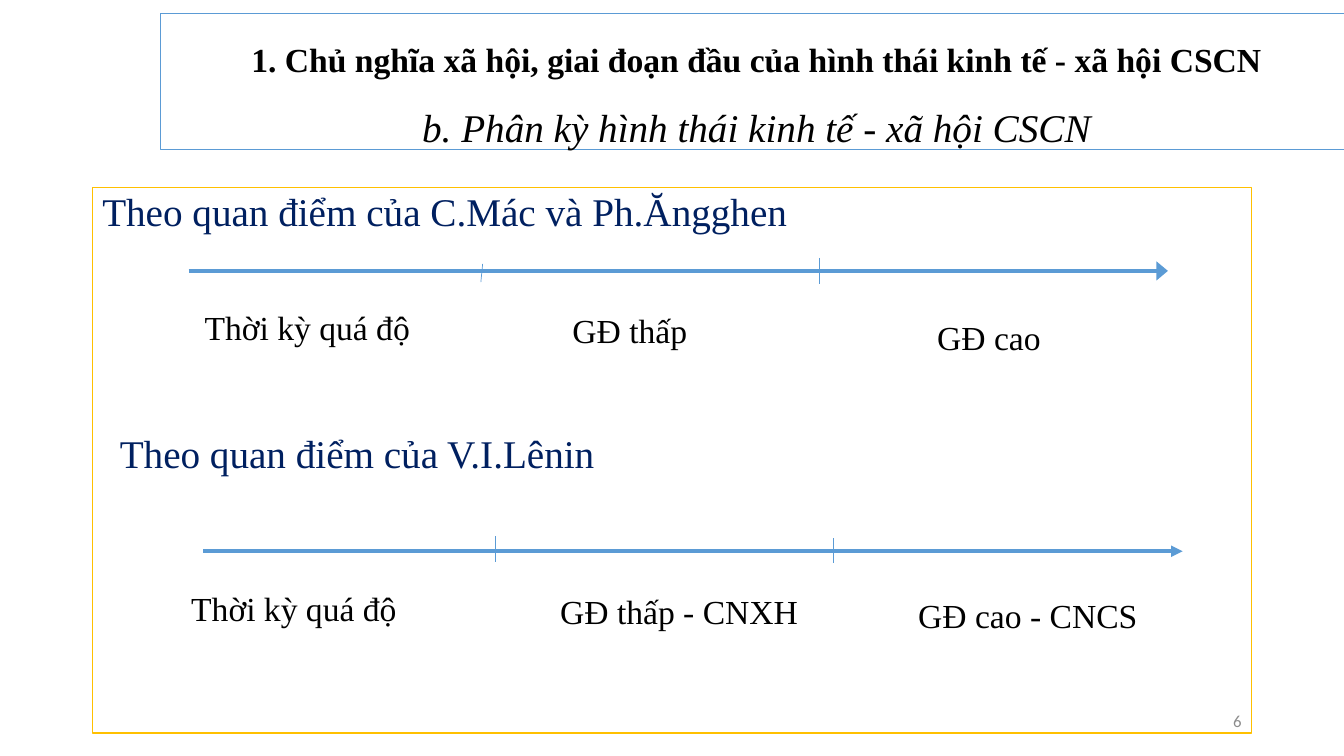
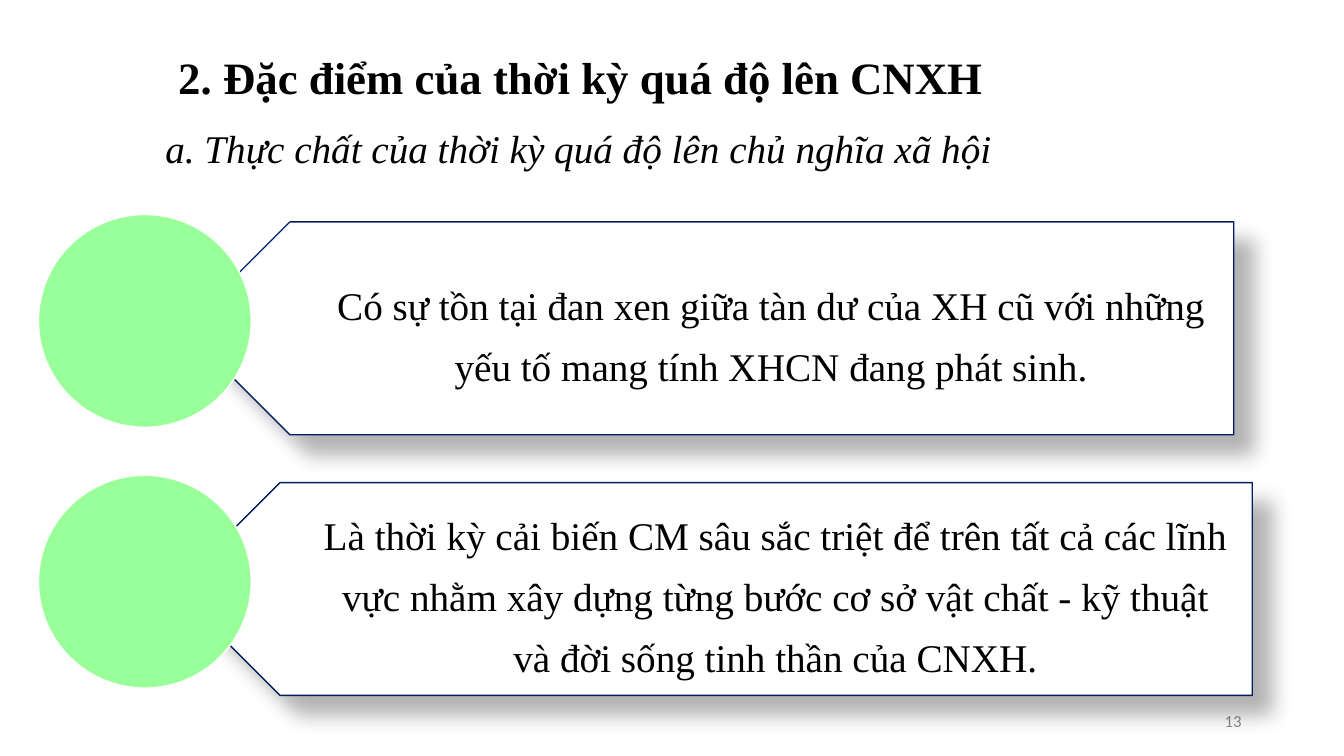
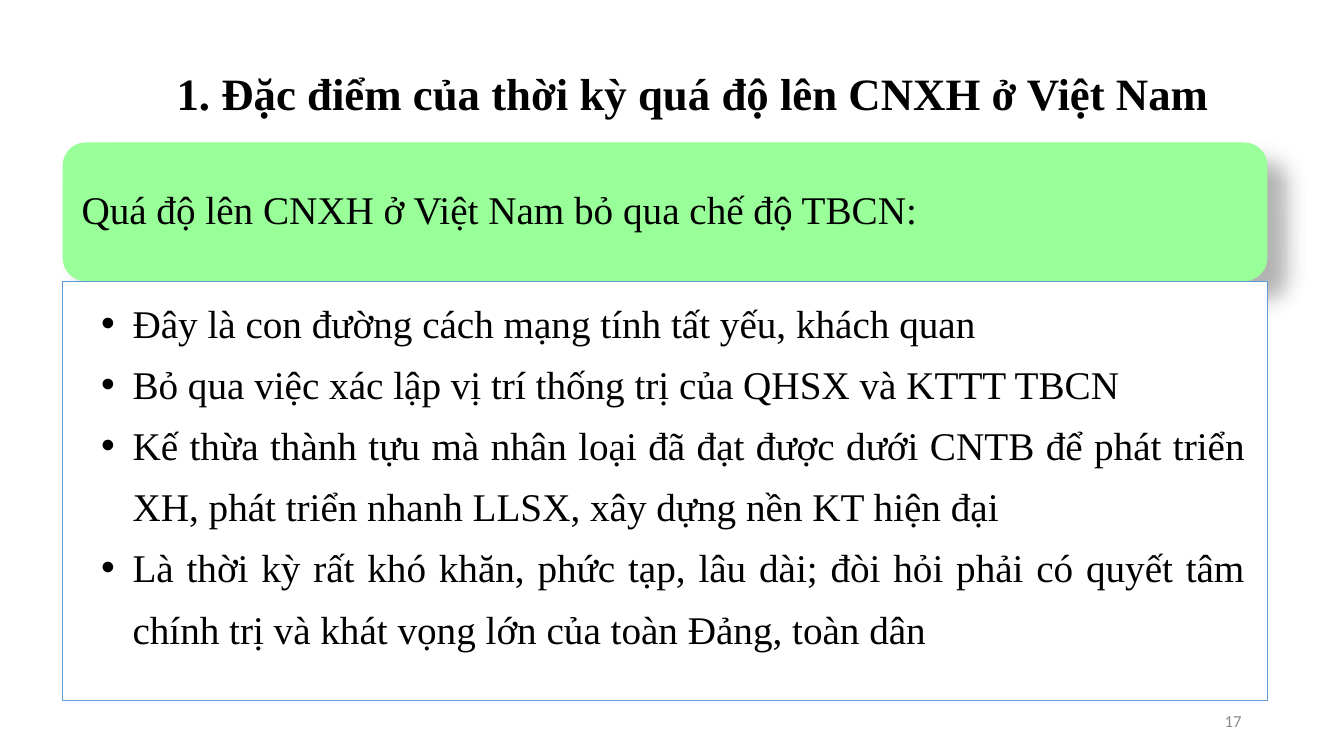
import dataclasses

import pptx
import pptx.dml.color
import pptx.enum.shapes
import pptx.enum.text
import pptx.oxml
import pptx.oxml.ns
import pptx.util
from lxml import etree

Pt = pptx.util.Pt
SHAPES = pptx.enum.shapes.MSO_SHAPE
ALIGN = pptx.enum.text.PP_ALIGN
ANCHOR = pptx.enum.text.MSO_ANCHOR
qn = pptx.oxml.ns.qn


@dataclasses.dataclass(frozen=True)
class Type:
    size: float
    color: str = "000000"
    bold: bool = False
    italic: bool = False
    font: str = "Times New Roman"


@dataclasses.dataclass(frozen=True)
class Theme:
    # Colours
    white: str = "FFFFFF"
    blue: str = "5B9BD5"
    navy: str = "002060"
    gold: str = "FFC000"
    green: str = "99FF99"
    # Type sizes
    title: Type = Type(32, bold=True)
    small_title: Type = Type(24, bold=True)
    subtitle: Type = Type(28, italic=True)
    viewpoint: Type = Type(28, "002060")
    body: Type = Type(28)
    label: Type = Type(24)
    number: Type = Type(12, "8C8C8C", font="Calibri")
    # Insets: left, top, right, bottom
    inset: tuple = (7.2, 3.6, 7.2, 3.6)


THEME = Theme()


# Shared parts
def rgb(color):
    return pptx.dml.color.RGBColor.from_string(color)


def write(shape, paragraphs, *styles, align=ALIGN.LEFT, anchor=ANCHOR.TOP,
          spacing=1.0, inset=THEME.inset, bullet_indent=None):
    """Fill a shape with text; the styles go to the runs in turn."""
    frame = shape.text_frame
    frame.word_wrap = True
    frame.vertical_anchor = anchor
    (frame.margin_left, frame.margin_top,
     frame.margin_right, frame.margin_bottom) = map(Pt, inset)
    frame.text = "\n".join(paragraphs)
    for paragraph in frame.paragraphs:
        paragraph.alignment = align
        paragraph.line_spacing = spacing
        if bullet_indent:
            add_bullet(paragraph, bullet_indent)
        for index, run in enumerate(paragraph.runs):
            style = styles[min(index, len(styles) - 1)]
            run.font.name = style.font
            run.font.size = Pt(style.size)
            run.font.bold = style.bold
            run.font.italic = style.italic
            run.font.color.rgb = rgb(style.color)


def add_bullet(paragraph, indent):
    properties = paragraph._p.get_or_add_pPr()
    properties.set("marL", str(Pt(indent)))
    properties.set("indent", str(-Pt(indent)))
    etree.SubElement(properties, qn("a:buFont"), typeface="Arial")
    etree.SubElement(properties, qn("a:buChar"), char="•")


def add_text(slide, box, text, *styles, **layout):
    write(slide.shapes.add_textbox(*map(Pt, box)), [text], *styles, **layout)


def add_panel(slide, kind, box, fill, line=None, width=1, shadow=False):
    panel = slide.shapes.add_shape(kind, *map(Pt, box))
    panel.fill.solid()
    panel.fill.fore_color.rgb = rgb(fill)
    if line:
        panel.line.color.rgb = rgb(line)
        panel.line.width = Pt(width)
    else:
        panel.line.fill.background()
    panel.shadow.inherit = False
    if shadow:
        effects = panel._element.spPr.find(qn("a:effectLst"))
        outer = etree.SubElement(
            effects, qn("a:outerShdw"), blurRad=str(Pt(15)), dist=str(Pt(18)),
            dir="2700000", algn="tl", rotWithShape="0")
        color = etree.SubElement(outer, qn("a:srgbClr"), val="000000")
        etree.SubElement(color, qn("a:alpha"), val="30000")
    return panel


def add_line(slide, start, end, width, head=None):
    line = slide.shapes.add_connector(
        pptx.enum.shapes.MSO_CONNECTOR.STRAIGHT, *map(Pt, (*start, *end)))
    line.line.color.rgb = rgb(THEME.blue)
    line.line.width = Pt(width)
    if head:
        etree.SubElement(line.line._get_or_add_ln(), qn("a:tailEnd"),
                         type="triangle", w=head, len="med")
    etree.SubElement(line._element.spPr, qn("a:effectLst"))


def new_slide(deck, number):
    slide = deck.slides.add_slide(deck.slide_layouts[6])
    add_text(slide, (678, 500.5, 216, 28.75), str(number), THEME.number,
             align=ALIGN.RIGHT, anchor=ANCHOR.MIDDLE)
    return slide


# Timeline: an arrow cut into stages, with a label under each
def add_timeline(slide, left, top, head, ticks, labels):
    add_line(slide, (left, top), (left + 699.5, top), 2.75, head)
    for x1, y1, x2, y2 in ticks:
        add_line(slide, (left + x1, top + y1), (left + x2, top + y2), 0.5)
    for stage, x, y, width in labels:
        add_text(slide, (left + x, top + y, width, 36), stage, THEME.label)


# Callout: a tag pointing left to a disc
def add_callout(slide, left, top, width, text):
    height, disc = 152, 152
    tag = add_panel(slide, SHAPES.PENTAGON, (left, top, width, height),
                    THEME.white, THEME.navy, shadow=True)
    tag.rotation = 180
    add_text(slide, (left + 38, top, width - 38, height), text, THEME.body,
             align=ALIGN.CENTER, anchor=ANCHOR.MIDDLE, spacing=1.3,
             inset=(67, 8.64, 15.84, 8.64))
    add_panel(slide, SHAPES.OVAL, (27.5, top - 5.25, disc, disc),
              THEME.green, THEME.white)


# Heading band with a bulleted panel below
def add_bullet_section(slide, left, top, width, heading, bullets):
    band_height, list_height = 99, 299.5
    band = add_panel(slide, SHAPES.ROUNDED_RECTANGLE,
                     (left, top, width, band_height), THEME.green, shadow=True)
    write(band, [heading], THEME.body, anchor=ANCHOR.MIDDLE, spacing=0.9,
          inset=(8.64,) * 4)
    panel = add_panel(slide, SHAPES.RECTANGLE,
                      (left, top + band_height, width, list_height),
                      THEME.white, THEME.blue, 0.5)
    write(panel, bullets, THEME.body, align=ALIGN.JUSTIFY, spacing=1.3,
          inset=(27.4, 2.9, 15.8, 2.9), bullet_indent=22.5)


# Slides
def build_periods(deck):
    slide = new_slide(deck, 6)
    frame = add_panel(slide, SHAPES.RECTANGLE, (66, 134, 828, 389.5),
                      THEME.white, THEME.gold)
    write(frame, ["Theo quan điểm của C.Mác và Ph.Ăngghen"],
          THEME.viewpoint, spacing=0.9)
    # The frame is filled, so the page number is moved above it
    slide.shapes._spTree.insert(2, frame._element)
    add_timeline(slide, 134.75, 193.5, "lg",
                 [(210, -5, 208.75, 8), (450.5, -9.25, 450.5, 9.5)],
                 [("Thời kỳ quá độ", 4.25, 22.5, 162),
                  ("GĐ thấp", 267, 24, 129),
                  ("GĐ cao", 527.5, 29, 129)])
    add_text(slide, (78.5, 303, 607.5, 41), "Theo quan điểm của V.I.Lênin",
             THEME.viewpoint)
    add_timeline(slide, 145.25, 393.75, "med",
                 [(208.25, -10.75, 208.25, 8), (450.25, -9.25, 450.25, 8.75)],
                 [("Thời kỳ quá độ", -15.75, 23, 162),
                  ("GĐ thấp - CNXH", 247.75, 24.5, 204.5),
                  ("GĐ cao - CNCS", 503.5, 27.5, 198)])
    heading = add_panel(slide, SHAPES.RECTANGLE, (114.5, 10, 851.75, 96.5),
                        THEME.white, THEME.blue, 0.75)
    write(heading,
          ["1. Chủ nghĩa xã hội, giai đoạn đầu của hình thái kinh tế - xã hội CSCN"
           "\vb. Phân kỳ hình thái kinh tế - xã hội CSCN"],
          THEME.small_title, THEME.subtitle, align=ALIGN.CENTER, spacing=1.5)


def build_features(deck):
    slide = new_slide(deck, 13)
    add_text(slide, (120.25, 5, 848, 104.4),
             "2. Đặc điểm của thời kỳ quá độ lên CNXH", THEME.title,
             anchor=ANCHOR.MIDDLE, spacing=0.9)
    add_text(slide, (111, 89.25, 828, 342.75),
             "a. Thực chất của thời kỳ quá độ lên chủ nghĩa xã hội",
             THEME.subtitle, spacing=0.9)
    add_callout(slide, 131, 158.5, 750.25,
                "Có sự tồn tại đan xen giữa tàn dư của XH cũ với những yếu tố "
                "mang tính XHCN đang phát sinh.")
    add_callout(slide, 124, 344.75, 770.5,
                "Là thời kỳ cải biến CM sâu sắc triệt để trên tất cả các lĩnh "
                "vực nhằm xây dựng từng bước cơ sở vật chất - kỹ thuật và đời "
                "sống tinh thần của CNXH.")


def build_vietnam(deck):
    slide = new_slide(deck, 17)
    # The deep bottom inset lifts the title clear of the band
    add_text(slide, (64, 32.5, 869.75, 104.4),
             "1. Đặc điểm của thời kỳ quá độ lên CNXH ở Việt Nam", THEME.title,
             align=ALIGN.CENTER, anchor=ANCHOR.MIDDLE, spacing=0.9,
             inset=(7.2, 3.6, 15, 36.5))
    add_bullet_section(
        slide, 44.75, 101.75, 860.5,
        "Quá độ lên CNXH ở Việt Nam bỏ qua chế độ TBCN:",
        ["Đây là con đường cách mạng tính tất yếu, khách quan",
         "Bỏ qua việc xác lập vị trí thống trị của QHSX và KTTT TBCN",
         "Kế thừa thành tựu mà nhân loại đã đạt được dưới CNTB để phát triển "
         "XH, phát triển nhanh LLSX, xây dựng nền KT hiện đại",
         "Là thời kỳ rất khó khăn, phức tạp, lâu dài; đòi hỏi phải có quyết "
         "tâm chính trị và khát vọng lớn của toàn Đảng, toàn dân"])


def main():
    deck = pptx.Presentation()
    deck.slide_width, deck.slide_height = Pt(960), Pt(540)
    for build in (build_periods, build_features, build_vietnam):
        build(deck)
    deck.save("out.pptx")


if __name__ == "__main__":
    main()
